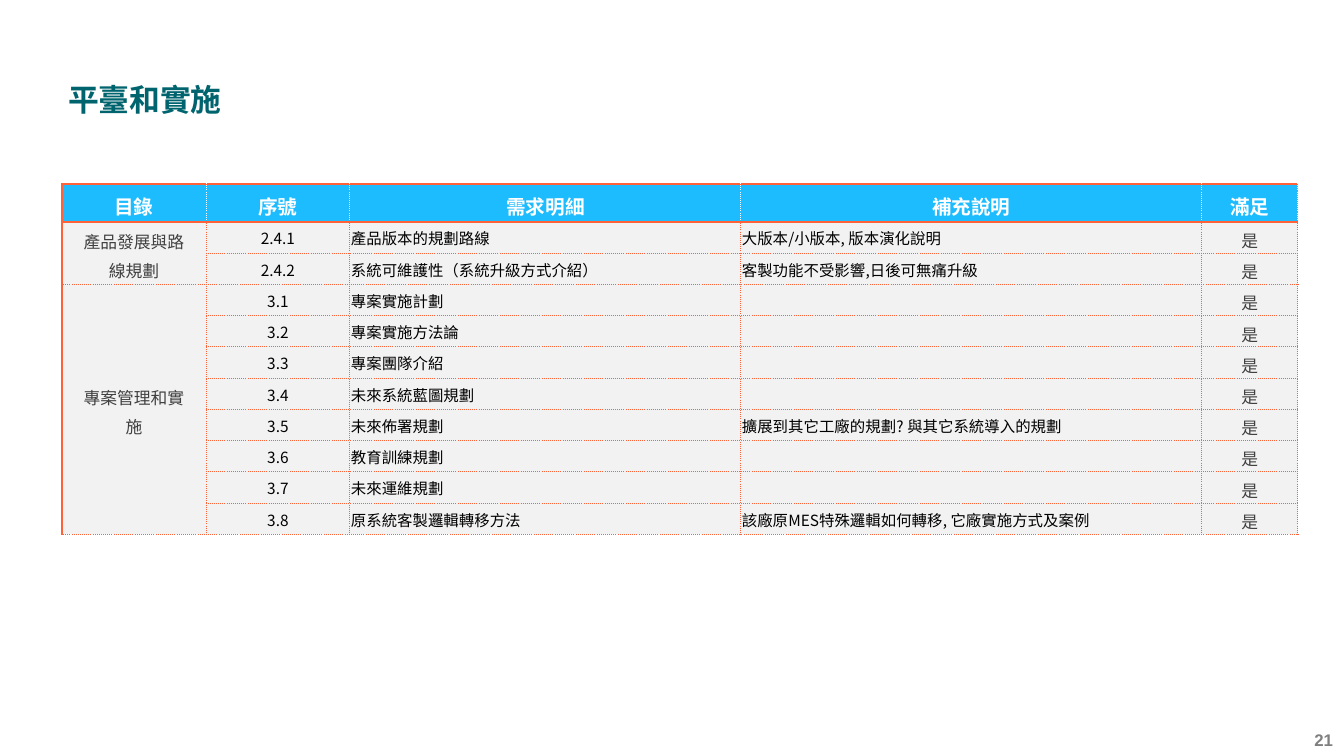
import pptx
import pptx.util
import pptx.dml.color
import pptx.enum.text
import pptx.oxml.ns
from lxml import etree

SANS, SANS_TC = "Noto Sans CJK SC", "Noto Sans CJK TC"
ORANGE, WHITE = "FF6238", "FFFFFF"
SLIDE_W, SLIDE_H = 1344, 756
TITLE = "平臺和實施"
PAGE = "21"
HEADERS = ["目錄", "序號", "需求明細", "補充說明", "滿足"]
GROUPS = [
    ("產品發展與路線規劃", [
        ("2.4.1", "產品版本的規劃路線", ["大版本/小版本, 版本演化說明"]),
        ("2.4.2", "系統可維護性（系統升級方式介紹）", ["客製功能不受影響", ",", "日後可無痛升級"]),
    ]),
    ("專案管理和實施", [
        ("3.1", "專案實施計劃", []),
        ("3.2", "專案實施方法論", []),
        ("3.3", "專案團隊介紹", []),
        ("3.4", "未來系統藍圖規劃", []),
        ("3.5", "未來佈署規劃", ["擴展到其它工廠的規劃? 與其它系統導入的規劃"]),
        ("3.6", "教育訓練規劃", []),
        ("3.7", "未來運維規劃", []),
        ("3.8", "原系統客製邏輯轉移方法", ["該廠原MES特殊邏輯如何轉移, 它廠實施方式及案例"]),
    ]),
]
MET = "是"
COL_W = [144, 144, 391, 461, 96]
LEFT, TOP, HEADER_H, BODY_H = 62, 184, 38, 305
ALIGN = pptx.enum.text.PP_ALIGN
MIDDLE = pptx.enum.text.MSO_ANCHOR.MIDDLE


def px(n):
    return pptx.util.Emu(round(n * 914400 / 100.8))


def rgb(value):
    return pptx.dml.color.RGBColor.from_string(value)


def add_run(p, text, size, color, bold=False, font=SANS, east=None):
    r = p.add_run()
    r.text = text
    r.font.size = pptx.util.Pt(size)
    r.font.bold = bold
    r.font.name = font
    r.font.color.rgb = rgb(color)
    ea = etree.SubElement(r.font._element, pptx.oxml.ns.qn("a:ea"))
    ea.set("typeface", east or font)


def set_margins(o, left, top, right, bottom):
    o.margin_left, o.margin_top = px(left), px(top)
    o.margin_right, o.margin_bottom = px(right), px(bottom)


def set_border(cell, side, color, width, dash):
    tc_pr = cell._tc.get_or_add_tcPr()
    ln = etree.SubElement(tc_pr, pptx.oxml.ns.qn("a:ln" + side), w=str(pptx.util.Pt(width)))
    fill = etree.SubElement(ln, pptx.oxml.ns.qn("a:solidFill"))
    etree.SubElement(fill, pptx.oxml.ns.qn("a:srgbClr"), val=color)
    etree.SubElement(ln, pptx.oxml.ns.qn("a:prstDash"), val=dash)


def format_cell(cell, row, col):
    solid, dotted = (ORANGE, 1.5, "solid"), (ORANGE, 0.75, "sysDot")
    inner = (WHITE, 0.75, "sysDot") if row == 0 else dotted
    set_border(cell, "L", *(solid if col == 0 else inner))
    set_border(cell, "R", *inner)
    set_border(cell, "T", *(solid if row < 2 else dotted))
    set_border(cell, "B", *(solid if row == 0 else dotted))
    cell.fill.solid()
    cell.fill.fore_color.rgb = rgb("1DBCFF" if row == 0 else "F2F2F2")
    cell.vertical_anchor = MIDDLE


def write_cell(cell, texts, size, color, bold=False, roomy=True, centered=True):
    set_margins(cell, *((19, 1, 19, 1) if roomy else (1, 1, 1, 0)))
    p = cell.text_frame.paragraphs[0]
    p.alignment = ALIGN.CENTER if centered else ALIGN.LEFT
    if roomy:
        p.line_spacing = 1.2
    for text in texts:
        add_run(p, text, size, color, bold, SANS_TC if text == "," else SANS)
    if not texts:
        etree.SubElement(p._p, pptx.oxml.ns.qn("a:endParaRPr"), sz=str(size * 100))


def add_requirements(s):
    count = sum(len(items) for _, items in GROUPS)
    frame = s.shapes.add_table(count + 1, len(COL_W), px(LEFT), px(TOP),
                               px(sum(COL_W)), px(HEADER_H + BODY_H))
    table = frame.table
    table.first_row = table.horz_banding = False
    for column, width in zip(table.columns, COL_W):
        column.width = px(width)
    for i, row in enumerate(table.rows):
        row.height = px(BODY_H / count if i else HEADER_H)
        for j, cell in enumerate(row.cells):
            format_cell(cell, i, j)
    for j, text in enumerate(HEADERS):
        write_cell(table.cell(0, j), [text], 14, WHITE, bold=True)
    i = 1
    for group, items in GROUPS:
        table.cell(i, 0).merge(table.cell(i + len(items) - 1, 0))
        write_cell(table.cell(i, 0), [group], 12, "404040")
        for number, detail, notes in items:
            write_cell(table.cell(i, 1), [number], 11, "000000", roomy=False)
            write_cell(table.cell(i, 2), [detail], 11, "000000", roomy=False, centered=False)
            write_cell(table.cell(i, 3), notes, 11, "000000", roomy=False, centered=False)
            write_cell(table.cell(i, 4), [MET], 12, "404040")
            i += 1


def main():
    prs = pptx.Presentation()
    prs.slide_width, prs.slide_height = px(SLIDE_W), px(SLIDE_H)
    s = prs.slides.add_slide(prs.slide_layouts[5])

    title = s.shapes.title
    title.left, title.top, title.width, title.height = px(-1), px(34), px(SLIDE_W), px(133)
    tf = title.text_frame
    tf.word_wrap = True
    tf.auto_size = pptx.enum.text.MSO_AUTO_SIZE.NONE
    tf.vertical_anchor = pptx.enum.text.MSO_ANCHOR.TOP
    set_margins(tf, 69, 47, 234, 26)
    p = tf.paragraphs[0]
    p.alignment = ALIGN.LEFT
    add_run(p, TITLE, 22, "00646E", True, "Arial", SANS)

    add_requirements(s)

    tf = s.shapes.add_textbox(px(1282), px(723), px(61), px(33)).text_frame
    tf.word_wrap = True
    tf.vertical_anchor = MIDDLE
    set_margins(tf, 10, 5, 10, 5)
    p = tf.paragraphs[0]
    p.alignment = ALIGN.RIGHT
    add_run(p, PAGE, 12, "7F7F7F", True, "Arial")

    prs.save("out.pptx")


if __name__ == "__main__":
    main()
